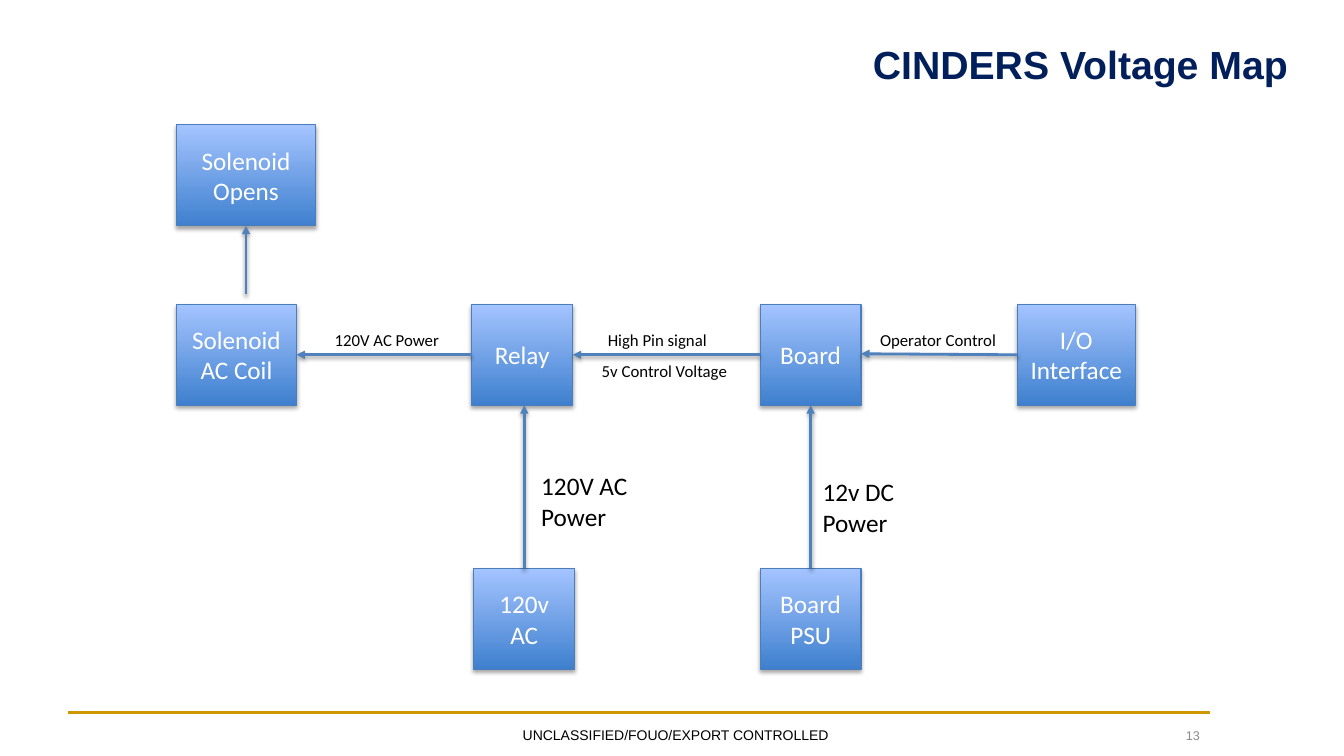
import pptx
import pptx.dml.color
import pptx.enum.dml
import pptx.enum.shapes
import pptx.enum.text
import pptx.oxml
import pptx.oxml.ns
import pptx.util
from pptx.dml.color import RGBColor
from pptx.enum.text import MSO_ANCHOR, PP_ALIGN
from pptx.util import Inches, Pt

NAVY = RGBColor(0x00, 0x1F, 0x5B)
GOLD = RGBColor(0xCD, 0x97, 0x00)
GRAY = RGBColor(0x8C, 0x8C, 0x8C)
BLACK = RGBColor(0x00, 0x00, 0x00)
WHITE = RGBColor(0xFF, 0xFF, 0xFF)
BOX_BOTTOM = RGBColor(0x3F, 0x80, 0xCE)
BOX_TOP = RGBColor(0xA4, 0xC4, 0xFF)
BOX_EDGE = RGBColor(0x4B, 0x7E, 0xBC)
ARROW_BLUE = RGBColor(0x4F, 0x81, 0xBD)

BOX_HEIGHT = 1
TOP_ROW, MIDDLE_ROW, BOTTOM_ROW = 1.24, 3.02, 5.64
FLOW_Y = MIDDLE_ROW + BOX_HEIGHT / 2

# text, left, top, width
BOXES = [
    ("120v\nAC", 4.7, BOTTOM_ROW, 1),
    ("Solenoid Opens", 1.75, TOP_ROW, 1.38),
    ("Solenoid AC Coil", 1.75, MIDDLE_ROW, 1.19),
    ("Relay", 4.68, MIDDLE_ROW, 1),
    ("Board", 7.54, MIDDLE_ROW, 1),
    ("Board PSU", 7.54, BOTTOM_ROW, 1),
    ("I/O Interface", 10.09, MIDDLE_ROW, 1.17),
]

# start x, start y, end x, end y
ARROWS = [
    (5.2, BOTTOM_ROW, 5.2, MIDDLE_ROW + BOX_HEIGHT),
    (8.04, BOTTOM_ROW, 8.04, MIDDLE_ROW + BOX_HEIGHT),
    (4.68, FLOW_Y, 2.94, FLOW_Y),
    (7.54, FLOW_Y, 5.68, FLOW_Y),
    (10.09, FLOW_Y, 8.54, 3.51),
    (2.44, 2.92, 2.44, TOP_ROW + BOX_HEIGHT),
]

# text, left, top, width, height, size
LABELS = [
    ("Operator Control", 8.63, 3.22, 1.36, 0.3, 12),
    ("High Pin signal", 5.93, 3.22, 1.19, 0.3, 12),
    ("120V AC Power", 3.22, 3.22, 1.25, 0.3, 12),
    ("12v DC\nPower", 8.06, 4.68, 0.92, 0.71, 18),
    ("120V AC\nPower", 5.27, 4.62, 1.07, 0.71, 18),
    ("5v Control Voltage", 5.87, 3.53, 1.46, 0.3, 12),
]


def write_text(frame, text, size, font, color, align, bold=False):
    frame.text = text
    for paragraph in frame.paragraphs:
        paragraph.alignment = align
        paragraph.font.size = Pt(size)
        paragraph.font.name = font
        paragraph.font.bold = bold
        paragraph.font.color.rgb = color


def add_effects(element, distance=0, opacity=0):
    """Set the effect list: a shadow straight below, or none at zero opacity."""
    properties = element.spPr
    for effects in properties.findall(pptx.oxml.ns.qn("a:effectLst")):
        properties.remove(effects)
    shadow = ""
    if opacity:
        shadow = (
            f'<a:outerShdw blurRad="{Pt(3.1)}" dist="{Pt(distance)}" dir="5400000" rotWithShape="0">'
            f'<a:srgbClr val="000000"><a:alpha val="{opacity * 1000}"/></a:srgbClr></a:outerShdw>'
        )
    properties.append(pptx.oxml.parse_xml(
        f'<a:effectLst {pptx.oxml.ns.nsdecls("a")}>{shadow}</a:effectLst>'))


def add_box(slide, text, left, top, width):
    box = slide.shapes.add_shape(
        pptx.enum.shapes.MSO_SHAPE.RECTANGLE,
        Inches(left), Inches(top), Inches(width), Inches(BOX_HEIGHT))
    box.fill.gradient()
    box.fill.gradient_angle = 90
    for stop, color in zip(box.fill.gradient_stops, (BOX_BOTTOM, BOX_TOP)):
        stop.color.rgb = color
    box.line.color.rgb = BOX_EDGE
    box.line.width = Pt(0.75)
    add_effects(box._element, 1.8, 35)
    box.text_frame.vertical_anchor = MSO_ANCHOR.MIDDLE
    write_text(box.text_frame, text, 18, "Calibri", WHITE, PP_ALIGN.CENTER)


def add_line(slide, start_x, start_y, end_x, end_y, color):
    line = slide.shapes.add_connector(
        pptx.enum.shapes.MSO_CONNECTOR.STRAIGHT,
        Inches(start_x), Inches(start_y), Inches(end_x), Inches(end_y))
    line.line.color.rgb = color
    line.line.width = Pt(2)
    add_effects(line._element)
    return line


def add_arrow(slide, start_x, start_y, end_x, end_y):
    arrow = add_line(slide, start_x, start_y, end_x, end_y, ARROW_BLUE)
    arrow.line._get_or_add_ln().append(pptx.oxml.parse_xml(
        f'<a:tailEnd {pptx.oxml.ns.nsdecls("a")} type="triangle"/>'))
    add_effects(arrow._element, 1.6, 38)


def add_label(slide, text, left, top, width, height, size):
    label = slide.shapes.add_textbox(
        Inches(left), Inches(top), Inches(width), Inches(height))
    label.text_frame.word_wrap = False
    label.text_frame.auto_size = pptx.enum.text.MSO_AUTO_SIZE.SHAPE_TO_FIT_TEXT
    write_text(label.text_frame, text, size, "Calibri", BLACK, PP_ALIGN.LEFT)


def add_page_text(slide, text, left, top, width, height, size, color, align, bold=False):
    """Add a title or footer text, centred vertically in its area."""
    area = slide.shapes.add_textbox(
        Inches(left), Inches(top), Inches(width), Inches(height))
    area.text_frame.word_wrap = True
    area.text_frame.vertical_anchor = MSO_ANCHOR.MIDDLE
    write_text(area.text_frame, text, size, "Arial", color, align, bold)


def main():
    presentation = pptx.Presentation()
    presentation.slide_width = Inches(13.33)
    presentation.slide_height = Inches(7.5)
    slide = presentation.slides.add_slide(presentation.slide_layouts[6])

    add_line(slide, 0.67, 7.07, 12, 7.07, GOLD)
    add_page_text(slide, "CINDERS Voltage Map", 2.94, 0.3, 9.93, 0.66,
                  28, NAVY, PP_ALIGN.RIGHT, bold=True)
    add_page_text(slide, "UNCLASSIFIED/FOUO/EXPORT CONTROLLED", 4.34, 7.14, 4.72, 0.31,
                  10, BLACK, PP_ALIGN.CENTER)
    add_page_text(slide, "13", 9.56, 7.14, 2.44, 0.31, 9, GRAY, PP_ALIGN.RIGHT)

    for box in BOXES:
        add_box(slide, *box)
    for arrow in ARROWS:
        add_arrow(slide, *arrow)
    for label in LABELS:
        add_label(slide, *label)

    presentation.save("out.pptx")


if __name__ == "__main__":
    main()
